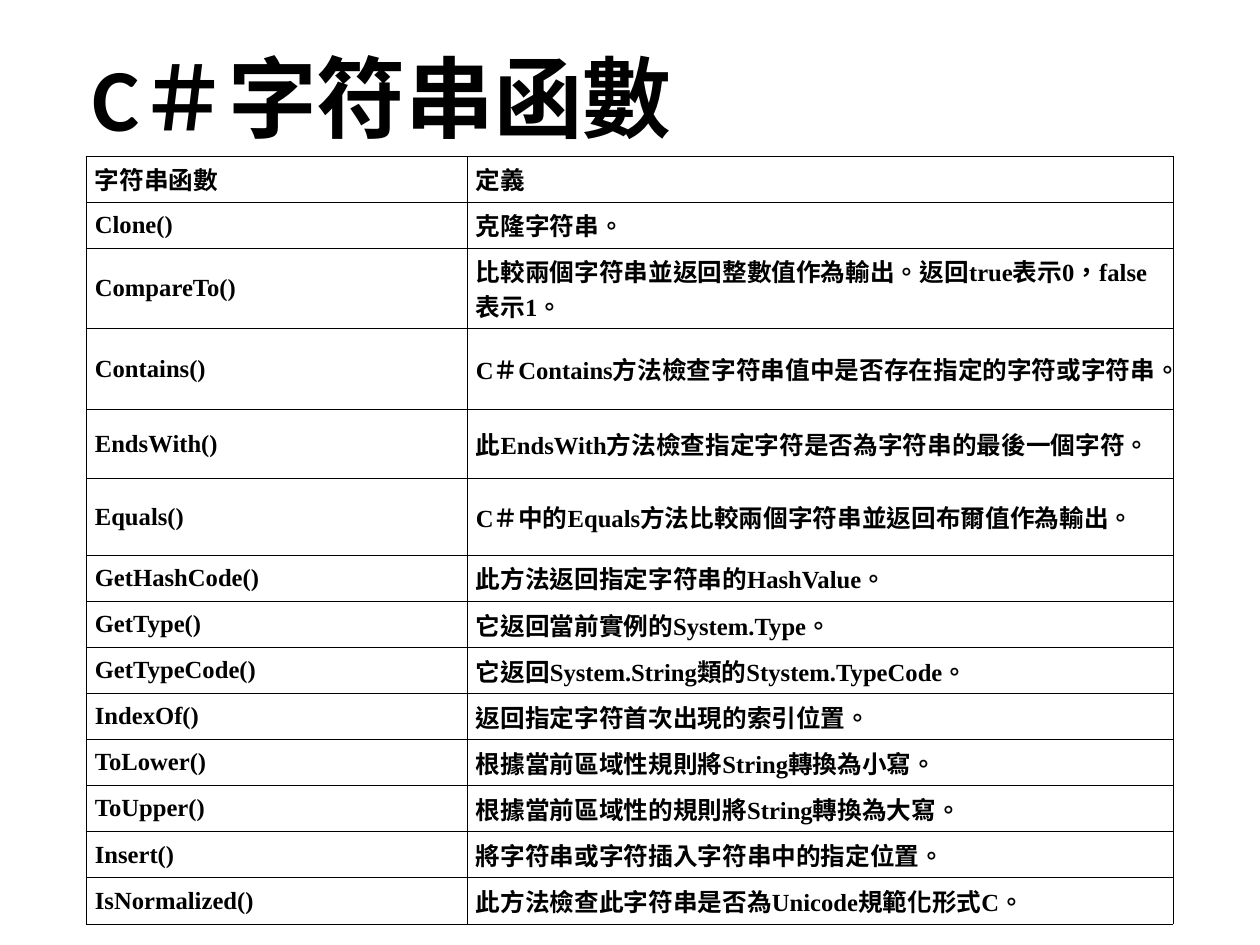
from dataclasses import dataclass

from lxml import etree
from pptx import Presentation, util as u
from pptx.dml.color import RGBColor
from pptx.enum import lang, text
from pptx.oxml import ns

HEADING = "C＃字符串函數"
FUNCTIONS = [
    ("字符串函數", "定義"),
    ("Clone()", "克隆字符串。"),
    ("CompareTo()", "比較兩個字符串並返回整數值作為輸出。返回true表示0，false表示1。"),
    ("Contains()", "C＃Contains方法檢查字符串值中是否存在指定的字符或字符串。"),
    ("EndsWith()", "此EndsWith方法檢查指定字符是否為字符串的最後一個字符。"),
    ("Equals()", "C＃中的Equals方法比較兩個字符串並返回布爾值作為輸出。"),
    ("GetHashCode()", "此方法返回指定字符串的HashValue。"),
    ("GetType()", "它返回當前實例的System.Type。"),
    ("GetTypeCode()", "它返回System.String類的Stystem.TypeCode。"),
    ("IndexOf()", "返回指定字符首次出現的索引位置。"),
    ("ToLower()", "根據當前區域性規則將String轉換為小寫。"),
    ("ToUpper()", "根據當前區域性的規則將String轉換為大寫。"),
    ("Insert()", "將字符串或字符插入字符串中的指定位置。"),
    ("IsNormalized()", "此方法檢查此字符串是否為Unicode規範化形式C。"),
]

EMU_PER_PX = 10320
SLIDE_SIZE = (1260, 945)
HEADING_BOX = (84, 50, 626, 105)
TABLE_ORIGIN = (86, 156)
COLUMN_WIDTHS = (381, 706)
TABLE_HEIGHT = 768
TALL_ROWS = {"CompareTo()": 80, "Contains()": 81, "EndsWith()": 69, "Equals()": 77}


@dataclass(frozen=True)
class Theme:
    ink: str = "000000"
    heading_font: str = "Calibri"
    heading_size: int = 72
    cell_font: str = "Times New Roman"
    cell_size: int = 20
    border_width: float = 0.45


THEME = Theme()


def px(length):
    return u.Emu(round(length * EMU_PER_PX))


def style(paragraph, font_name, size):
    paragraph.alignment = text.PP_ALIGN.LEFT
    paragraph.space_after = u.Pt(1.2)
    font = paragraph.font
    font.name, font.size, font.bold = font_name, u.Pt(size), True
    font.color.rgb = RGBColor.from_string(THEME.ink)
    font.language_id = lang.MSO_LANGUAGE_ID.TRADITIONAL_CHINESE


def add_borders(cell):
    properties = cell._tc.get_or_add_tcPr()
    for side in ("a:lnL", "a:lnR", "a:lnT", "a:lnB"):
        border = etree.SubElement(properties, ns.qn(side), w=str(u.Pt(THEME.border_width)))
        fill = etree.SubElement(border, ns.qn("a:solidFill"))
        etree.SubElement(fill, ns.qn("a:srgbClr"), val=THEME.ink)


def add_heading(slide):
    heading = slide.shapes.title
    heading.left, heading.top, heading.width, heading.height = map(px, HEADING_BOX)
    frame = heading.text_frame
    frame.text = HEADING
    frame.word_wrap = False
    frame.auto_size = text.MSO_AUTO_SIZE.SHAPE_TO_FIT_TEXT
    frame.vertical_anchor = text.MSO_ANCHOR.MIDDLE
    paragraph = frame.paragraphs[0]
    paragraph.line_spacing = 0.9
    style(paragraph, THEME.heading_font, THEME.heading_size)


def add_functions(slide):
    plain_rows = len(FUNCTIONS) - len(TALL_ROWS)
    plain_height = (TABLE_HEIGHT - sum(TALL_ROWS.values())) / plain_rows
    table = slide.shapes.add_table(
        len(FUNCTIONS), len(COLUMN_WIDTHS), *map(px, TABLE_ORIGIN),
        px(sum(COLUMN_WIDTHS)), px(TABLE_HEIGHT)).table
    table.first_row = table.horz_banding = False
    for column, width in zip(table.columns, COLUMN_WIDTHS):
        column.width = px(width)
    for row, entry in zip(table.rows, FUNCTIONS):
        row.height = px(TALL_ROWS.get(entry[0], plain_height))
        for cell, words in zip(row.cells, entry):
            cell.text = words
            cell.vertical_anchor = text.MSO_ANCHOR.MIDDLE
            add_borders(cell)
            cell.fill.background()
            style(cell.text_frame.paragraphs[0], THEME.cell_font, THEME.cell_size)


def main():
    deck = Presentation()
    deck.slide_width, deck.slide_height = map(px, SLIDE_SIZE)
    slide = deck.slides.add_slide(deck.slide_layouts[5])
    add_heading(slide)
    add_functions(slide)
    deck.save("out.pptx")


if __name__ == "__main__":
    main()
